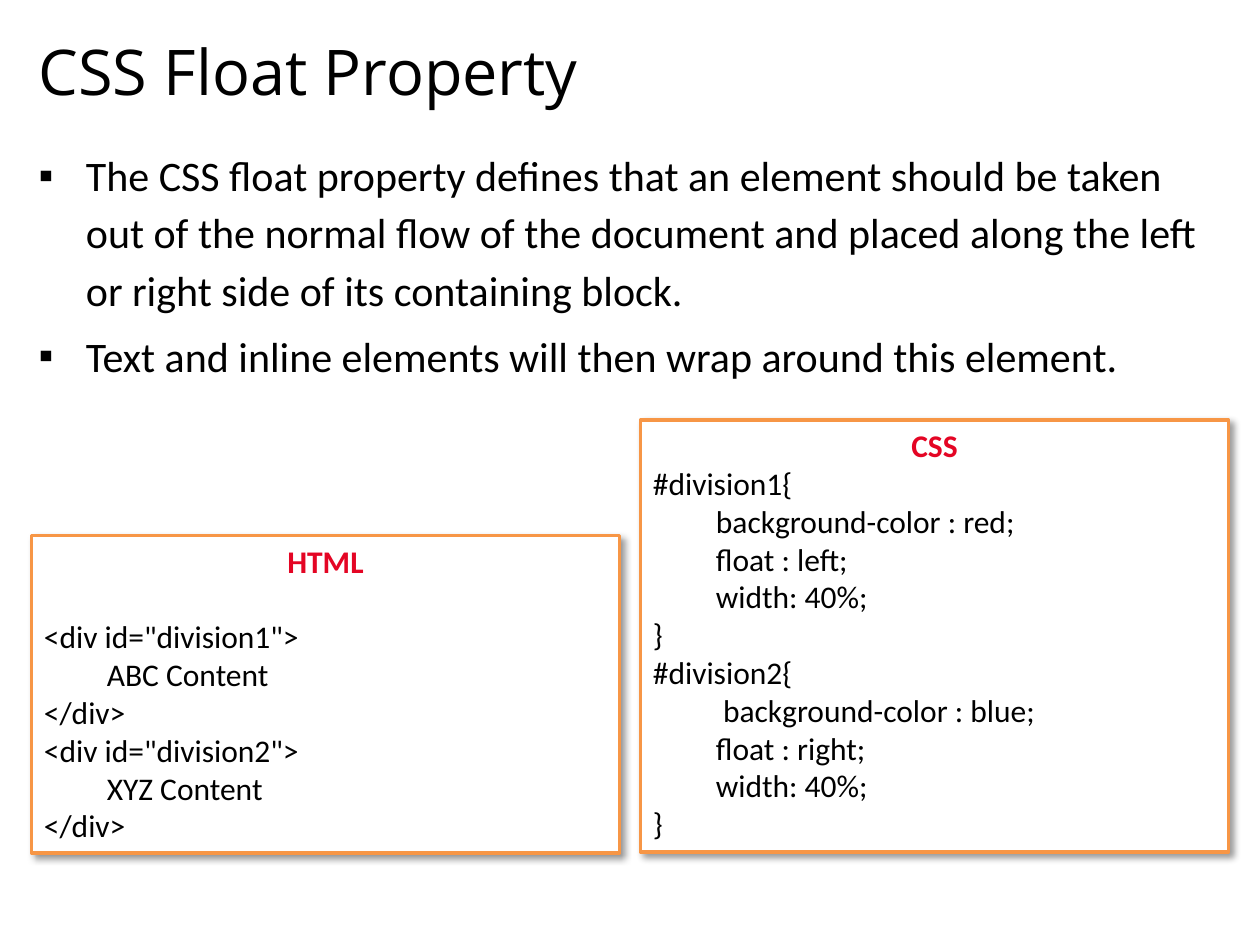
"""Build the CSS Float Property slide."""
from dataclasses import dataclass

from lxml import etree
from pptx import Presentation
from pptx.dml.color import RGBColor
from pptx.enum import shapes, text
from pptx.oxml import ns
from pptx.util import Pt

COLORS = {"text": "000000", "heading": "E40524", "fill": "FFFFFF",
          "border": "F79646", "shadow": "000000"}


@dataclass
class CodeBox:
    left: float
    top: float
    height: float
    heading: str
    lines: list[str]
    heading_gap: float = 0
    width: float = 336


BULLETS = [
    "The CSS float property defines that an element should be taken out of the "
    "normal flow of the document and placed along the left or right side of its "
    "containing block.",
    "Text and inline elements will then wrap around this element.",
]
CODE_BOXES = [
    CodeBox(18, 306, 181.5, "HTML", [
        '<div id="division1">', "\tABC Content", "</div>",
        '<div id="division2">', "\tXYZ Content", "</div>"], heading_gap=21.6),
    CodeBox(366, 240, 247, "CSS", [
        "#division1{", "\tbackground-color : red;", "\tfloat : left;",
        "\twidth: 40%;", "}",
        "#division2{", "\t background-color : blue;", "\tfloat : right;",
        "\twidth: 40%;", "}"]),
]


def rgb(name: str) -> RGBColor:
    return RGBColor.from_string(COLORS[name])


def add_child(parent, tag: str, **attrs: str):
    return etree.SubElement(parent, ns.qn(tag), attrs)


def set_font(p, size: float, name: str = "Calibri", color: str = "text",
             bold: bool = False) -> None:
    p.font.size, p.font.name, p.font.bold = Pt(size), name, bold
    p.font.color.rgb = rgb(color)


def add_paragraph(tf, index: int, content: str):
    p = tf.paragraphs[0] if index == 0 else tf.add_paragraph()
    p.text = content
    return p


def add_text_frame(slide, top: float, height: float):
    sp = slide.shapes.add_textbox(Pt(15), Pt(top), Pt(690), Pt(height))
    sp.text_frame.word_wrap = True
    return sp.text_frame


def add_title(slide, content: str) -> None:
    tf = add_text_frame(slide, 8.6, 63.4)
    tf.vertical_anchor = text.MSO_ANCHOR.MIDDLE
    set_font(add_paragraph(tf, 0, content), 36, "Open Sans")


def add_bullets(slide, items: list[str]) -> None:
    tf = add_text_frame(slide, 77.8, 216)
    for i, item in enumerate(items):
        p = add_paragraph(tf, i, item)
        p.line_spacing, p.space_before = 1.14, Pt(4.8)
        props = p._p.get_or_add_pPr()
        props.set("marL", str(Pt(27)))
        props.set("indent", str(Pt(-27)))
        add_child(props, "a:buFont", typeface="Wingdings")
        props[-1].set("typeface", "Arial")
        add_child(props, "a:buChar", char="▪")
        set_font(p, 24)


def add_shadow(sp) -> None:
    sp.shadow.inherit = False
    effects = sp._element.spPr.find(ns.qn("a:effectLst"))
    shadow = add_child(effects, "a:outerShdw", blurRad=str(Pt(4)), dist=str(Pt(3)),
                       dir=str(45 * 60000), algn="tl", rotWithShape="0")
    color = add_child(shadow, "a:srgbClr", val=COLORS["shadow"])
    add_child(color, "a:alpha", val="40000")


def add_code_box(slide, box: CodeBox) -> None:
    sp = slide.shapes.add_shape(shapes.MSO_SHAPE.RECTANGLE, Pt(box.left), Pt(box.top),
                                Pt(box.width), Pt(box.height))
    sp.fill.solid()
    sp.fill.fore_color.rgb = rgb("fill")
    sp.line.color.rgb = rgb("border")
    sp.line.width = Pt(2)
    add_shadow(sp)
    tf = sp.text_frame
    tf.word_wrap = True
    tf.auto_size = text.MSO_AUTO_SIZE.SHAPE_TO_FIT_TEXT
    tf.vertical_anchor = text.MSO_ANCHOR.TOP
    heading = add_paragraph(tf, 0, box.heading)
    heading.alignment = text.PP_ALIGN.CENTER
    heading.space_after = Pt(box.heading_gap)
    set_font(heading, 18, color="heading", bold=True)
    for i, line in enumerate(box.lines, start=1):
        p = add_paragraph(tf, i, line)
        p.alignment = text.PP_ALIGN.LEFT
        set_font(p, 18)


def main() -> None:
    prs = Presentation()
    prs.slide_width, prs.slide_height = Pt(720), Pt(540)
    slide = prs.slides.add_slide(prs.slide_layouts[6])
    add_title(slide, "CSS Float Property")
    add_bullets(slide, BULLETS)
    for box in CODE_BOXES:
        add_code_box(slide, box)
    prs.save("out.pptx")


if __name__ == "__main__":
    main()
